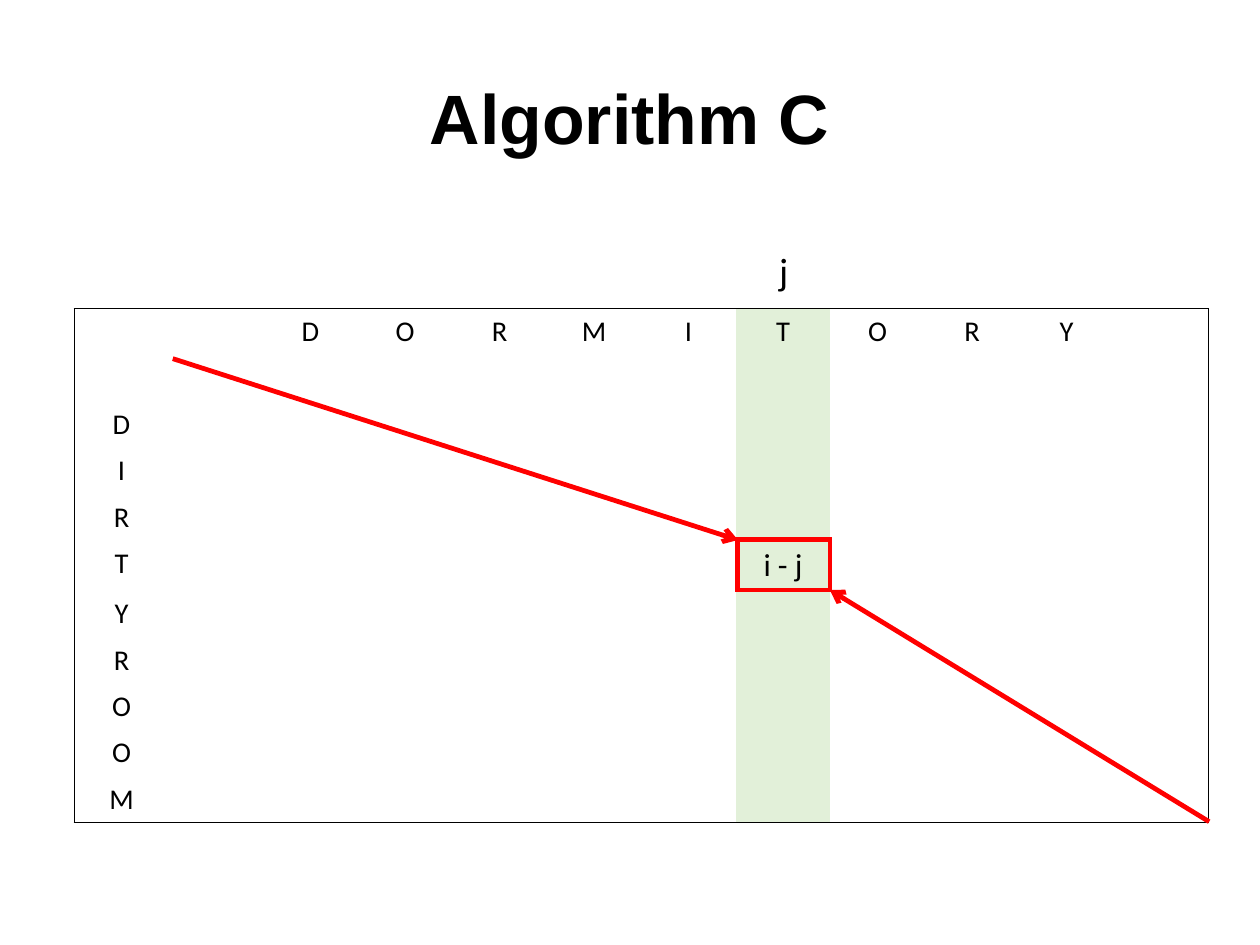
import pptx
import pptx.dml.color
import pptx.enum.shapes
import pptx.enum.text
import pptx.oxml
import pptx.oxml.ns
import pptx.util
from lxml import etree

Cm = pptx.util.Cm
Pt = pptx.util.Pt
CENTER = pptx.enum.text.PP_ALIGN.CENTER

BLACK, RED, GREEN = "000000", "FF0000", "E2F0D9"
ACROSS, DOWN = "DORMITORY", "DIRTYROOM"
COLUMNS, ROWS = len(ACROSS) + 3, len(DOWN) + 2
J_COLUMN, I_ROW = 7, 5


def color(hex_code):
    return pptx.dml.color.RGBColor.from_string(hex_code)


def add_xml(parent, tag, **attributes):
    return etree.SubElement(parent, pptx.oxml.ns.qn(tag), **attributes)


class Board:
    """Holds the text style and the slide being filled."""

    def __init__(self, slide):
        self.slide = slide
        self.body = {"name": "Calibri", "size": Pt(18), "bold": False}
        self.heading = {"name": "Arial", "size": Pt(44), "bold": True}

    def add_text(self, frame, text, style, **changes):
        paragraph = frame.paragraphs[0]
        paragraph.alignment = CENTER
        run = paragraph.add_run()
        run.text = text
        for attribute, value in {**style, **changes}.items():
            setattr(run.font, attribute, value)
        run.font.color.rgb = color(BLACK)

    def place(self, shape, box):
        for side, length in zip(("left", "top", "width", "height"), box):
            setattr(shape, side, Cm(length))

    def title(self, text, box):
        heading = self.slide.shapes.title
        self.place(heading, box)
        frame = heading.text_frame
        for side in ("left", "top", "right", "bottom"):
            setattr(frame, f"margin_{side}", 0)
        frame.vertical_anchor = pptx.enum.text.MSO_ANCHOR.MIDDLE
        self.add_text(frame, text, self.heading)

    def label(self, text, box, size):
        frame = self.slide.shapes.add_textbox(*map(Cm, box)).text_frame
        frame.word_wrap = True
        self.add_text(frame, text, self.body, size=Pt(size))

    def grid(self, rows, columns, box, line, width):
        """Add a plain table that is bordered only around its outside."""
        table = self.slide.shapes.add_table(rows, columns, *map(Cm, box)).table
        table.first_row = table.horz_banding = False
        for r in range(rows):
            for c in range(columns):
                cell = table.cell(r, c)
                outer = {"L": c == 0, "R": c == columns - 1,
                         "T": r == 0, "B": r == rows - 1}
                self.border(cell, outer, line, width)
                cell.fill.background()
        return table

    def border(self, cell, outer, line, width):
        properties = cell._tc.get_or_add_tcPr()
        for side, drawn in outer.items():
            edge = add_xml(properties, f"a:ln{side}", w=str(Pt(width)))
            if drawn:
                add_xml(add_xml(edge, "a:solidFill"), "a:srgbClr", val=line)
            else:
                add_xml(edge, "a:noFill")

    def arrow(self, start, end):
        connector = self.slide.shapes.add_connector(
            pptx.enum.shapes.MSO_CONNECTOR.STRAIGHT, *map(Cm, start + end))
        connector.line.color.rgb = color(RED)
        connector.line.width = Pt(3)
        add_xml(connector.line._get_or_add_ln(), "a:tailEnd", type="arrow")
        add_xml(connector._element.spPr, "a:effectLst")


def main():
    deck = pptx.Presentation()
    deck.slide_width, deck.slide_height = Cm(28), Cm(21)
    board = Board(deck.slides.add_slide(deck.slide_layouts[5]))
    board.title("Algorithm C", (1.4, 0.84, 25.2, 3.5))

    matrix = board.grid(ROWS, COLUMNS, (1.65, 6.86, 25.2, 11.33), BLACK, 1)
    letters = {(0, c): letter for c, letter in enumerate(ACROSS, 2)}
    letters.update({(r, 0): letter for r, letter in enumerate(DOWN, 2)})
    for position, letter in letters.items():
        board.add_text(matrix.cell(*position).text_frame, letter, board.body)
    board.add_text(matrix.cell(I_ROW, J_COLUMN).text_frame, "i - j",
                   board.body, size=Pt(20))
    for r in range(ROWS):
        fill = matrix.cell(r, J_COLUMN).fill
        fill.solid()
        fill.fore_color.rgb = color(GREEN)

    board.arrow((3.84, 7.97), (16.4, 12))
    board.arrow((26.87, 18.26), (18.44, 13.11))
    board.label("j", (16.87, 5.38, 1.09, 1.27), 24)
    board.grid(1, 1, (16.39, 11.99, 2.06, 1.12), RED, 3)
    deck.save("out.pptx")


if __name__ == "__main__":
    main()
